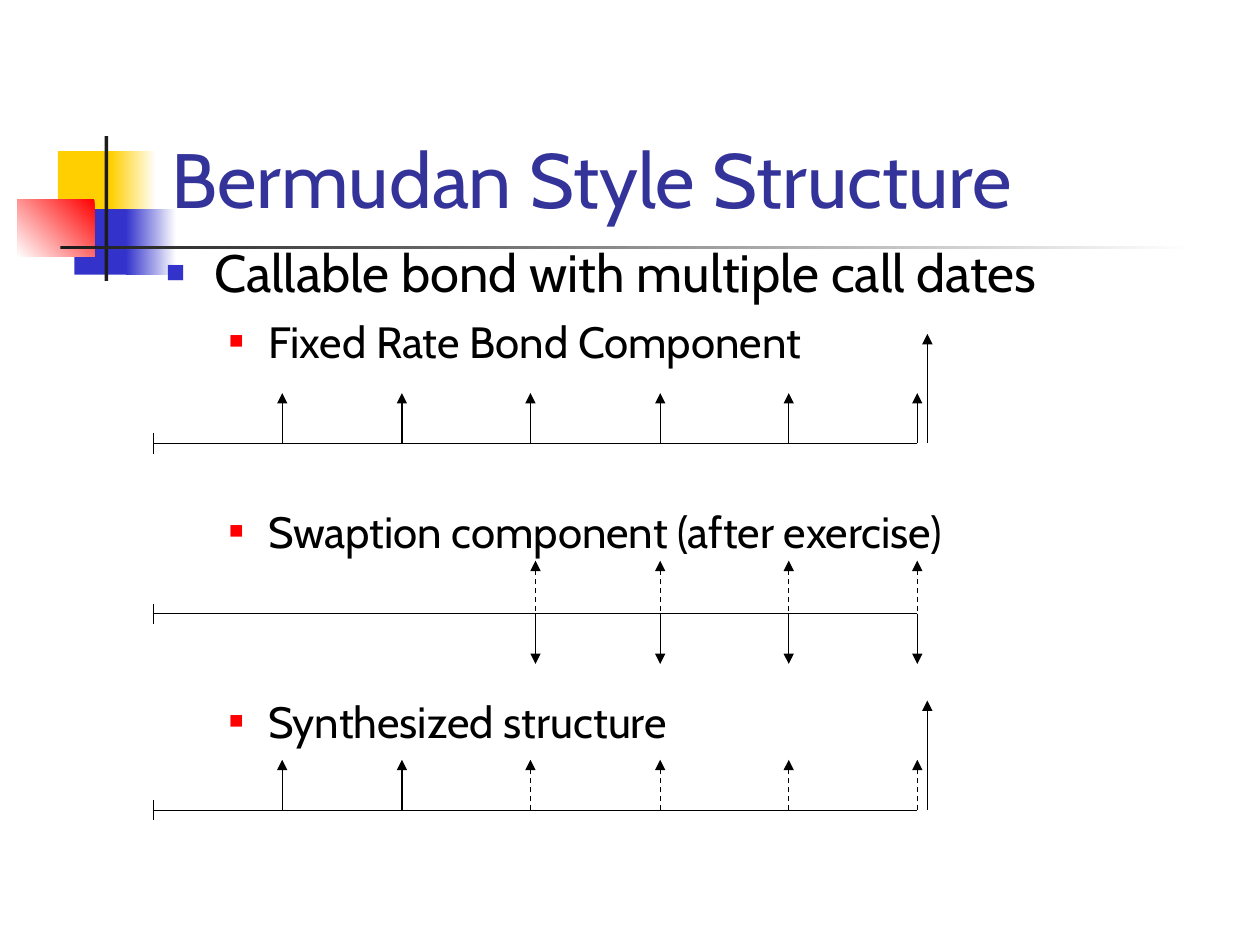
import pptx
import pptx.util
import pptx.dml.color
import pptx.enum.dml
import pptx.enum.shapes
import pptx.enum.text
import pptx.oxml.ns
from lxml import etree

Inches = pptx.util.Inches
Pt = pptx.util.Pt
qn = pptx.oxml.ns.qn

FONT = "Cabin"
COLORS = {
    "yellow": "FFCF01", "blue": "3333CC", "red": "FF0000", "white": "FFFFFF",
    "ink": "1C1C1C", "title": "333399", "black": "000000",
}

# Timeline columns (inches): start, payment dates, principal beside the last date
START = 1.22
DATES = [2.24, 3.19, 4.21, 5.24, 6.26, 7.28]
SWAP_DATES = [4.25] + DATES[3:]
PRINCIPAL = 7.36
COUPON_RISE, PRINCIPAL_RISE, TICK = 0.4, 0.87, 0.08

# Left, top, width, height, colour, optional second colour, angle
ORNAMENTS = [
    (0.46, 1.2, 0.48, 0.52, "yellow", None, 0),
    (0.88, 1.2, 0.36, 0.52, "yellow", "white", 0),
    (0.59, 1.66, 0.46, 0.52, "blue", None, 0),
    (1, 1.66, 0.4, 0.52, "blue", "white", 0),
    (0.14, 1.58, 0.61, 0.46, "red", "white", 225),
    (0.83, 1.08, 0.03, 1.15, "ink", None, 0),
    (0.48, 1.95, 9, 0.03, "ink", "white", 0),
]

# Paragraph formats per outline level
LEVELS = [
    {"size": 30, "margin": 0.38, "hang": 0.38, "bullet": "blue", "share": 60},
    {"size": 25, "margin": 0.81, "hang": 0.31, "bullet": "red", "share": 55},
]
# Text, level, space before in points
OUTLINE = [
    ("Callable bond with multiple call dates", 0, 0),
    ("Fixed Rate Bond Component", 1, 6.2),
    ("Swaption component (after exercise)", 1, 78.6),
    ("Synthesized structure", 1, 78.6),
]


def rgb(name):
    return pptx.dml.color.RGBColor.from_string(COLORS[name])


def apply(target, formats):
    for attribute, value in formats.items():
        setattr(target, attribute, value)


def set_frame(frame, anchor):
    apply(frame, {
        "word_wrap": True, "vertical_anchor": anchor,
        "auto_size": pptx.enum.text.MSO_AUTO_SIZE.NONE,
        "margin_left": Inches(0.1), "margin_right": Inches(0.1),
        "margin_top": Inches(0.05), "margin_bottom": Inches(0.05),
    })


def set_font(font, size, color):
    apply(font, {"name": FONT, "size": Pt(size), "bold": False})
    font.color.rgb = rgb(color)


def add_ornament(slide, left, top, width, height, color, fade, angle):
    block = slide.shapes.add_shape(
        pptx.enum.shapes.MSO_SHAPE.RECTANGLE,
        Inches(left), Inches(top), Inches(width), Inches(height))
    block.shadow.inherit = False
    block.line.fill.background()
    if fade is None:
        block.fill.solid()
        block.fill.fore_color.rgb = rgb(color)
        return
    block.fill.gradient()
    block.fill.gradient_angle = angle
    for stop, name in zip(block.fill.gradient_stops, (color, fade)):
        stop.color.rgb = rgb(name)


def add_title(slide, text):
    title = slide.shapes.title
    apply(title, {"left": Inches(1.26), "top": Inches(0.23),
                  "width": Inches(8.52), "height": Inches(1.6)})
    set_frame(title.text_frame, pptx.enum.text.MSO_ANCHOR.BOTTOM)
    heading = title.text_frame.paragraphs[0]
    heading.text = text
    heading.alignment = pptx.enum.text.PP_ALIGN.LEFT
    set_font(heading.runs[0].font, 44, "title")
    # Bring the title in front of the ornaments
    slide.shapes._spTree.append(title._element)


def add_bullet(paragraph, level):
    properties = paragraph._p.get_or_add_pPr()
    properties.set("marL", str(Inches(level["margin"])))
    properties.set("indent", str(-Inches(level["hang"])))
    color = etree.SubElement(properties, qn("a:buClr"))
    etree.SubElement(color, qn("a:srgbClr"), val=COLORS[level["bullet"]])
    etree.SubElement(properties, qn("a:buSzPct"), val=str(level["share"] * 1000))
    etree.SubElement(properties, qn("a:buFont"), typeface="Arial")
    etree.SubElement(properties, qn("a:buChar"), char="■")


def add_outline(slide):
    outline = slide.shapes.add_textbox(
        Inches(1.22), Inches(1.86), Inches(8.49), Inches(4.66))
    frame = outline.text_frame
    set_frame(frame, pptx.enum.text.MSO_ANCHOR.TOP)
    for index, (text, depth, space) in enumerate(OUTLINE):
        entry = frame.add_paragraph() if index else frame.paragraphs[0]
        level = LEVELS[depth]
        add_bullet(entry, level)
        apply(entry, {"text": text, "level": depth, "space_before": Pt(space)})
        set_font(entry.runs[0].font, level["size"], "black")


def add_line(slide, x1, y1, x2, y2, arrow=False, dashed=False):
    line = slide.shapes.add_connector(
        pptx.enum.shapes.MSO_CONNECTOR.STRAIGHT,
        Inches(x1), Inches(y1), Inches(x2), Inches(y2))
    line.line.width = Pt(0.75)
    line.line.color.rgb = rgb("black")
    if dashed:
        line.line.dash_style = pptx.enum.dml.MSO_LINE.DASH
    properties = line._element.spPr
    if arrow:
        etree.SubElement(properties.find(qn("a:ln")), qn("a:tailEnd"), type="triangle")
    etree.SubElement(properties, qn("a:effectLst"))


def add_axis(slide, y):
    add_line(slide, START, y, DATES[-1], y)
    add_line(slide, START, y - TICK, START, y + TICK)


def add_flows(slide, dates, y, rise, dashed=False):
    for x in dates:
        add_line(slide, x, y, x, y - rise, arrow=True, dashed=dashed)


def add_bond_timeline(slide, y, fixed_count):
    add_axis(slide, y)
    add_flows(slide, DATES[:fixed_count], y, COUPON_RISE)
    add_flows(slide, DATES[fixed_count:], y, COUPON_RISE, dashed=True)
    add_flows(slide, [PRINCIPAL], y, PRINCIPAL_RISE)


def add_swap_timeline(slide, y):
    add_axis(slide, y)
    add_flows(slide, SWAP_DATES, y, -COUPON_RISE)
    add_flows(slide, SWAP_DATES, y - 0.02, COUPON_RISE, dashed=True)


def main():
    deck = pptx.Presentation()
    apply(deck, {"slide_width": Inches(10), "slide_height": Inches(7.5)})
    slide = deck.slides.add_slide(deck.slide_layouts[5])

    # Corner ornament, title and outline
    for ornament in ORNAMENTS:
        add_ornament(slide, *ornament)
    add_title(slide, "Bermudan Style Structure")
    add_outline(slide)

    # Cash flow timelines
    add_bond_timeline(slide, 3.52, fixed_count=len(DATES))
    add_swap_timeline(slide, 4.87)
    add_bond_timeline(slide, 6.43, fixed_count=2)

    deck.save("out.pptx")


if __name__ == "__main__":
    main()
